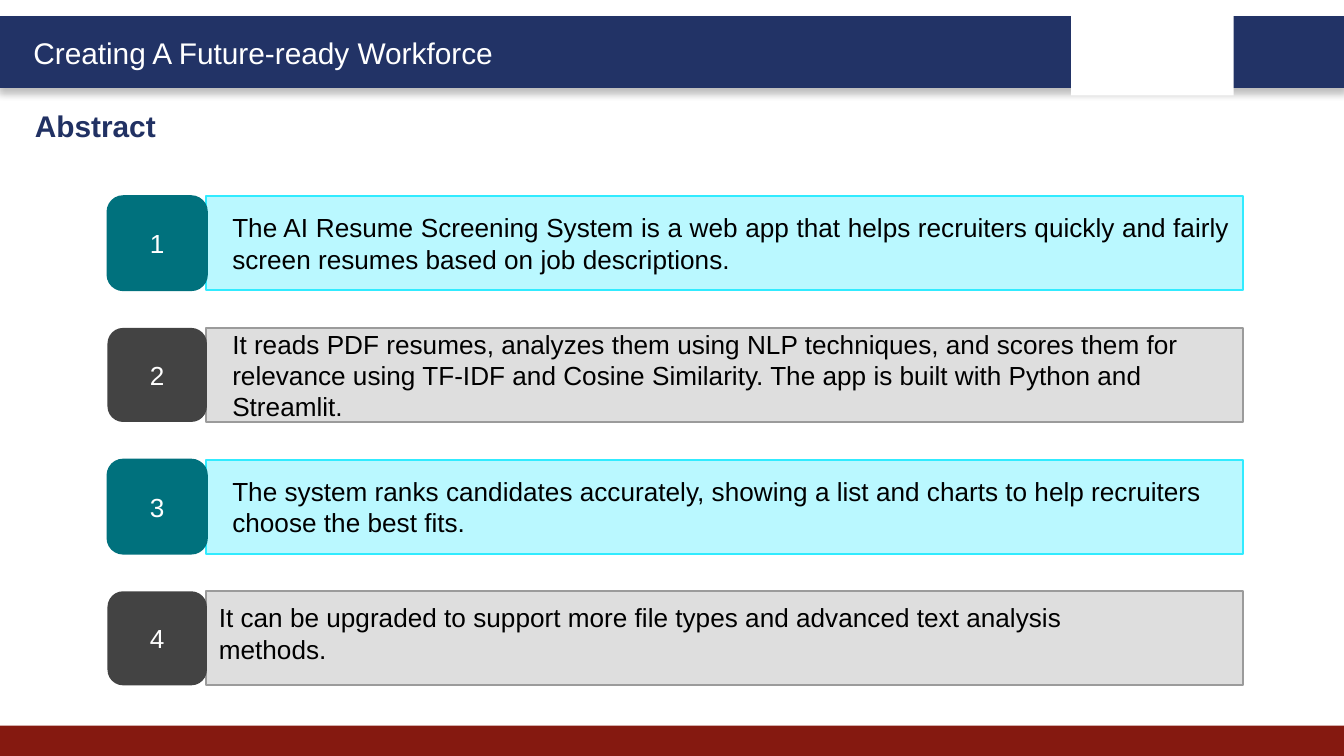
"""Build the abstract slide: four numbered statements under a banner."""
from pptx import Presentation as Deck
from pptx.dml.color import RGBColor as Color
from pptx.enum.shapes import MSO_SHAPE as Kind
from pptx.enum.text import MSO_ANCHOR as Anchor, PP_ALIGN as Align
from pptx.oxml import parse_xml as to_xml
from pptx.oxml.ns import nsdecls
from pptx.util import Inches, Pt

BANNER = "Creating A Future-ready Workforce"
TITLE = "Abstract"
ITEMS = [
    ("The AI Resume Screening System is a web app that helps recruiters quickly "
     "and fairly screen resumes based on job descriptions.", Align.JUSTIFY),
    ("It reads PDF resumes, analyzes them using NLP techniques, and scores them "
     "for relevance using TF-IDF and Cosine Similarity. The app is built with "
     "Python and Streamlit.", Align.LEFT),
    ("The system ranks candidates accurately, showing a list and charts to help "
     "recruiters choose the best fits.", Align.LEFT),
]
CLOSING = ("It can be upgraded to support more file types and advanced text "
           "analysis methods.")
THEME = {
    "font": "Arial", "head": 16, "body": 14,
    "navy": "223366", "title": "213163", "red": "851910",
    "white": "FFFFFF", "black": "000000",
    "rows": [
        {"fill": "BAF8FF", "line": "31EBFF", "badge": "00717D", "edge": "00717D"},
        {"fill": "DEDEDE", "line": "9B9B9B", "badge": "434343", "edge": None},
    ],
}
TOP, STEP, HEIGHT = 1.46, 0.98, 0.7
BADGE_X, BADGE_W, BAR_X, BAR_W = 0.8, 0.74, 1.53, 7.72


def put(shapes, kind, box, fill, line=None, width=1):
    shape = shapes.add_shape(kind, *map(Inches, box))
    shape.shadow.inherit = False
    shape.fill.solid()
    shape.fill.fore_color.rgb = Color.from_string(fill)
    if line:
        shape.line.color.rgb = Color.from_string(line)
        shape.line.width = Pt(width)
    else:
        shape.line.fill.background()
    return shape


def write(shape, text, size, color, align=Align.LEFT, anchor=Anchor.MIDDLE,
          bold=False, indent=0):
    frame = shape.text_frame
    frame.word_wrap = True
    frame.vertical_anchor = anchor
    para = frame.paragraphs[0]
    para.alignment = align
    if indent:
        para._p.get_or_add_pPr().set("marL", str(Inches(indent)))
    run = para.add_run()
    run.text = text
    run.font.name = THEME["font"]
    run.font.size = Pt(size)
    run.font.bold = bold
    run.font.color.rgb = Color.from_string(color)


def shade(shape):
    props = shape._element.spPr
    props.remove(props.find("{*}effectLst"))
    props.append(to_xml(
        f'<a:effectLst {nsdecls("a")}><a:outerShdw blurRad="{Pt(4)}" '
        f'dist="{Pt(3)}" dir="5400000" algn="t" rotWithShape="0">'
        '<a:srgbClr val="000000"><a:alpha val="25000"/></a:srgbClr>'
        '</a:outerShdw></a:effectLst>'))


def frame_slide(slide):
    shapes = slide.shapes
    shade(put(shapes, Kind.RECTANGLE, (0, 0.13, 10, 0.51),
              THEME["navy"], THEME["navy"], 2))
    put(shapes, Kind.RECTANGLE, (0, 5.4, 10, 0.23), THEME["red"])
    put(shapes, Kind.RECTANGLE, (7.97, 0.07, 1.21, 0.64), THEME["white"])
    banner = shapes.add_textbox(*map(Inches, (0.15, 0.21, 3.78, 0.37)))
    write(banner, BANNER, THEME["head"], THEME["white"], anchor=Anchor.TOP)
    title = shapes.title
    title.left, title.top, title.width, title.height = map(
        Inches, (0.16, 0.75, 4.84, 0.37))
    write(title, TITLE, THEME["head"], THEME["title"], anchor=Anchor.TOP, bold=True)


def add_row(slide, index):
    style = THEME["rows"][index % 2]
    top = TOP + index * STEP
    group = slide.shapes.add_group_shape().shapes
    bar = put(group, Kind.RECTANGLE, (BAR_X, top, BAR_W, HEIGHT),
              style["fill"], style["line"])
    badge = put(group, Kind.ROUNDED_RECTANGLE, (BADGE_X, top, BADGE_W, HEIGHT),
                style["badge"], style["edge"])
    write(badge, str(index + 1), THEME["body"], THEME["white"], Align.CENTER)
    return bar


def main():
    deck = Deck()
    deck.slide_width = Inches(10)
    deck.slide_height = deck.slide_width * 9 // 16
    slide = deck.slides.add_slide(deck.slide_layouts[5])
    frame_slide(slide)
    for index, (text, align) in enumerate(ITEMS):
        write(add_row(slide, index), text, THEME["body"], THEME["black"],
              align, indent=0.1)
    add_row(slide, len(ITEMS))
    note = slide.shapes.add_textbox(*map(Inches, (BAR_X, 4.24, 7.33, 0.94)))
    note.text_frame.margin_right = Inches(0.3)
    write(note, CLOSING, THEME["body"], THEME["black"])
    deck.save("out.pptx")


if __name__ == "__main__":
    main()
